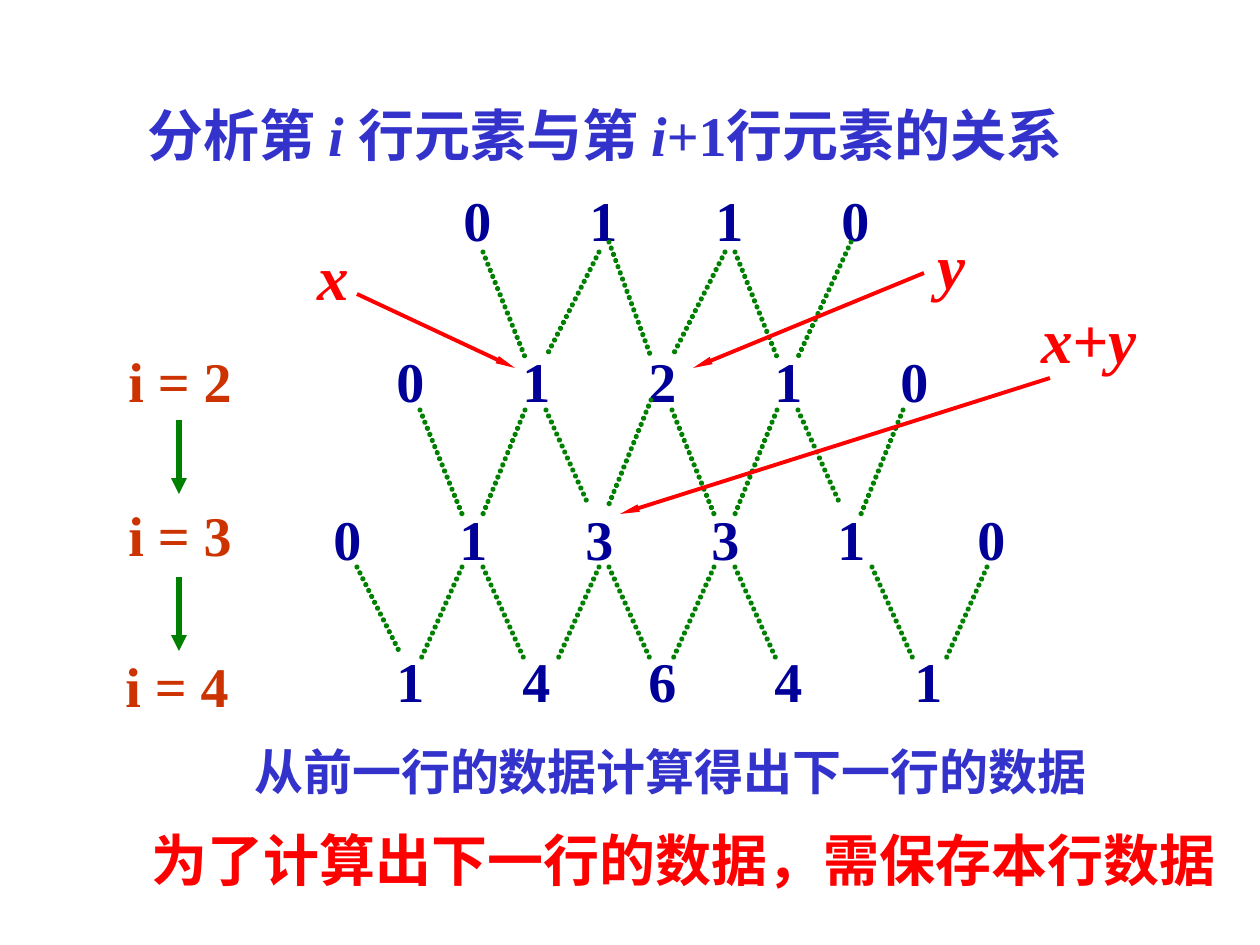
"""Build a slide on how each row of Pascal's triangle follows from the row above."""
from lxml import etree
from pptx import Presentation
from pptx import util as u
from pptx.dml.color import RGBColor
from pptx.enum import shapes, text
from pptx.oxml.ns import qn

SCALE = 914400 / 126
FONT = "Times New Roman"
HUES = {"blue": "3333CC", "navy": "000099", "red": "FF0000",
        "green": "008000", "rust": "CC3300", "white": "FFFFFF"}


def write(box, place, words, size, hue, slant=(), tabs=()):
    box.left, box.top, box.width, box.height = [round(v * SCALE) for v in place]
    frame = box.text_frame
    frame.word_wrap = bool(tabs)
    frame.auto_size = text.MSO_AUTO_SIZE.NONE
    frame.vertical_anchor = text.MSO_ANCHOR.TOP
    para = frame.paragraphs[0]
    para.alignment = text.PP_ALIGN.LEFT
    para.line_spacing = 1
    para.space_before = u.Pt(0)
    if tabs:
        stops = etree.SubElement(para._p.get_or_add_pPr(), qn("a:tabLst"))
        for pos in tabs:
            etree.SubElement(stops, qn("a:tab"), pos=str(round(pos * SCALE)), algn="l")
    for i, part in enumerate(words):
        run = para.add_run()
        run.text = part
        run.font.name = FONT
        run.font.size = u.Pt(size)
        run.font.bold = True
        run.font.italic = i in slant
        run.font.color.rgb = RGBColor.from_string(HUES[hue])


def draw(ends, hue, width, head=None, dots=False):
    link = slide.shapes.add_connector(shapes.MSO_CONNECTOR.STRAIGHT,
                                      *[round(v * SCALE) for v in ends])
    link.line.color.rgb = RGBColor.from_string(HUES[hue])
    link.line.width = u.Pt(width)
    ln = link.line._get_or_add_ln()
    if dots:
        ln.set("cap", "rnd")
        dash = etree.SubElement(ln, qn("a:custDash"))
        etree.SubElement(dash, qn("a:ds"), d="100000", sp="25000")
    if head:
        etree.SubElement(ln, qn("a:tailEnd"), type="triangle", w=head[0], len=head[1])
    etree.SubElement(link._element.spPr, qn("a:effectLst"))


deck = Presentation()
deck.slide_width, deck.slide_height = u.Inches(10), u.Inches(7.5)
slide = deck.slides.add_slide(deck.slide_layouts[5])

title = slide.shapes.title
title.fill.solid()
title.fill.fore_color.rgb = RGBColor.from_string(HUES["white"])
write(title, (135, 94, 1024, 81),
      ["分析第 ", "i ", "行元素与第 ", "i", "+1行元素的关系"], 32, "blue", (1, 3))

labels = [
    ((242, 735, 882, 72), "从前一行的数据计算得出下一行的数据", 28, "blue"),
    ((139, 819, 1090, 81), "为了计算出下一行的数据，需保存本行数据", 32, "red"),
    ((116, 340, 129, 81), "i = 2", 32, "rust"),
    ((116, 494, 129, 81), "i = 3", 32, "rust"),
    ((113, 645, 129, 81), "i = 4", 32, "rust"),
    ((305, 231, 57, 88), "x", 36, "red"),
    ((925, 220, 53, 88), "y", 36, "red"),
    ((1029, 294, 120, 88), "x+y", 36, "red"),
]
for place, words, size, hue in labels:
    box = slide.shapes.add_textbox(0, 0, 0, 0)
    write(box, place, [words], size, hue, (0,) if size == 36 else ())

STEP = 126
rows = [(451, 179, "0110", 0), (384, 340, "01210", 0),
        (321, 498, "013310", 14), (384, 640, "14641", 14)]
for left, top, nums, extra in rows:
    tabs = [STEP * n for n in range(1, len(nums))]
    tabs[-1] += extra
    box = slide.shapes.add_textbox(0, 0, 0, 0)
    write(box, (left, top, tabs[-1] + 70, 81), ["\t".join(nums)], 32, "navy", tabs=tabs)

links = [
    (42, [(483, 252, 357), (609, 242, 357), (735, 252, 357)]),
    (-53, [(599, 252, 357), (725, 252, 357), (851, 242, 357)]),
    (42, [(420, 410, 514), (546, 410, 504), (672, 410, 514), (798, 410, 504)]),
    (-42, [(525, 410, 514), (651, 400, 504), (777, 410, 514), (903, 410, 514)]),
    (42, [(357, 567, 651)] + [(x, 567, 661) for x in (483, 609, 735, 872)]),
    (-42, [(x, 567, 661) for x in (462, 599, 714, 987)]),
]
for shift, group in links:
    for x, top, end in group:
        draw((x, top, x + shift, end), "green", 3, dots=True)

for top in (420, 577):
    draw((179, top, 179, top + 74), "green", 3, ("med", "med"))
for ends in ((357, 294, 515, 368), (924, 273, 693, 368), (1050, 378, 620, 514)):
    draw(ends, "red", 2.25, ("sm", "lg"))

deck.save("out.pptx")
